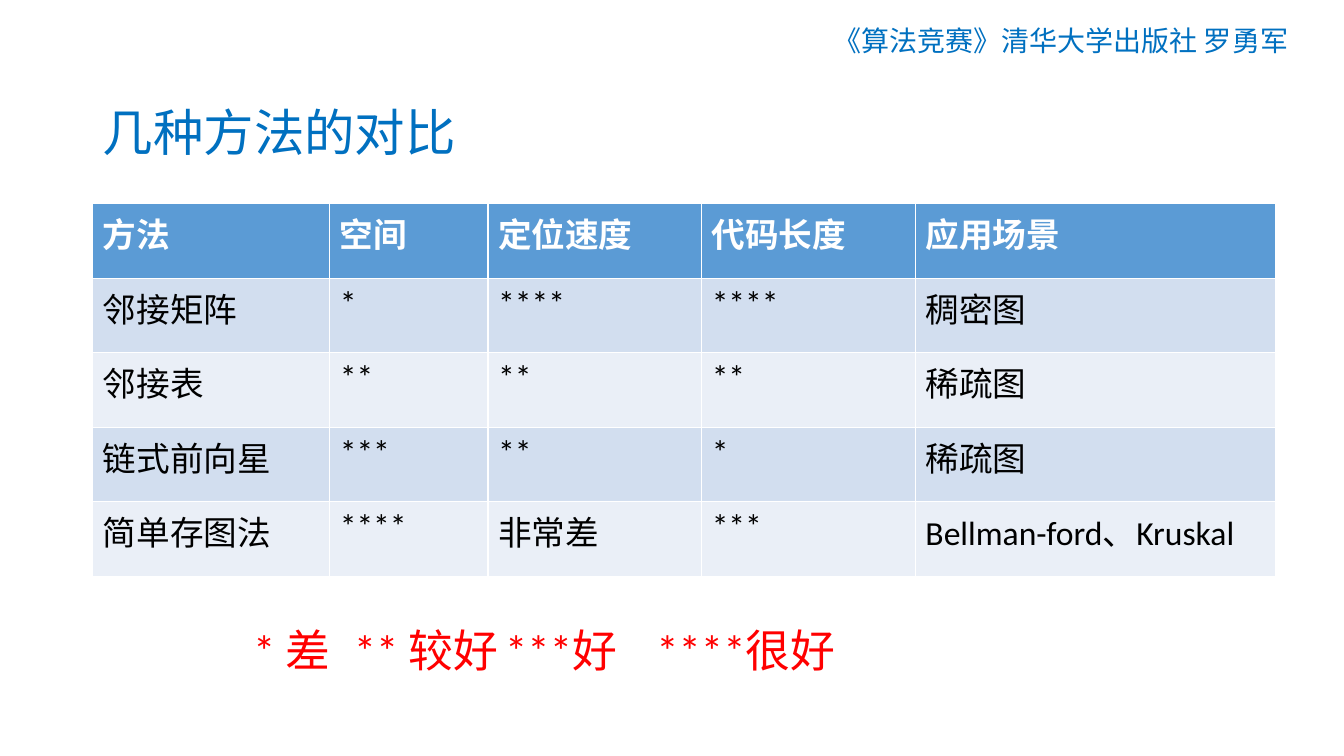
from lxml import etree
from pptx import Presentation
from pptx import util as u
from pptx.dml.color import RGBColor
from pptx.enum import text
from pptx.oxml import ns

HUES = {
    "blue": "0070C0", "red": "FF0000", "white": "FFFFFF", "black": "000000",
    "head": "5B9BD5", "odd": "D2DEEF", "even": "EAEFF7",
}
ROWS = [
    ["方法", "空间", "定位速度", "代码长度", "应用场景"],
    ["邻接矩阵", "*", "****", "****", "稠密图"],
    ["邻接表", "**", "**", "**", "稀疏图"],
    ["链式前向星", "***", "**", "*", "稀疏图"],
    ["简单存图法", "****", "非常差", "***", "Bellman-ford、Kruskal"],
]
WIDTHS = [2.35, 1.57, 2.12, 2.12, 3.57]
HEIGHT = 0.74
GRADES = ["* 差", "** 较好", "***好", "****很好"]
STOPS = [1.98, 4.73, 6.86]


def hue(name):
    return RGBColor.from_string(HUES[name])


def style(para, size, color, bold=False):
    for run in para.runs:
        run.font.name = "Calibri"
        run.font.size = u.Pt(size)
        run.font.bold = bold
        run.font.color.rgb = hue(color)


def place(shape, left, top, width, height):
    shape.left, shape.top = u.Inches(left), u.Inches(top)
    shape.width, shape.height = u.Inches(width), u.Inches(height)


def write(shape, words, size, color, align, anchor):
    frame = shape.text_frame
    frame.text = words
    frame.word_wrap = True
    frame.auto_size = text.MSO_AUTO_SIZE.NONE
    frame.vertical_anchor = anchor
    para = frame.paragraphs[0]
    para.alignment = align
    style(para, size, color)
    return para


def add_title(slide):
    title = slide.shapes.title
    place(title, 0.92, 0.84, 5.12, 1.01)
    para = write(title, "几种方法的对比", 36, "blue",
                 text.PP_ALIGN.LEFT, text.MSO_ANCHOR.MIDDLE)
    para.line_spacing = 0.9


def add_credit(slide):
    box = slide.shapes.add_textbox(*map(u.Inches, (8.08, 0.14, 4.88, 0.52)))
    write(box, "《算法竞赛》清华大学出版社 罗勇军", 20, "blue",
          text.PP_ALIGN.CENTER, text.MSO_ANCHOR.MIDDLE)


def add_grid(slide):
    size = (0.92, 2.02, sum(WIDTHS), HEIGHT * len(ROWS))
    grid = slide.shapes.add_table(
        len(ROWS), len(WIDTHS), *map(u.Inches, size)).table
    for col, width in zip(grid.columns, WIDTHS):
        col.width = u.Inches(width)
    for i, row in enumerate(ROWS):
        grid.rows[i].height = u.Inches(HEIGHT)
        fill = "head" if i == 0 else "odd" if i % 2 else "even"
        for j, words in enumerate(row):
            cell = grid.cell(i, j)
            cell.fill.solid()
            cell.fill.fore_color.rgb = hue(fill)
            cell.text_frame.text = words
            para = cell.text_frame.paragraphs[0]
            para.space_after = u.Pt(6)
            style(para, 24, "black" if i else "white", i == 0)


def add_legend(slide):
    body = slide.placeholders[1]
    place(body, 2.41, 6.19, 9.53, 0.78)
    para = write(body, "\t".join(GRADES), 32, "red",
                 text.PP_ALIGN.LEFT, text.MSO_ANCHOR.TOP)
    props = para._p.get_or_add_pPr()
    props.set("marL", "0")
    props.set("indent", "0")
    etree.SubElement(props, ns.qn("a:buNone"))
    tabs = etree.SubElement(props, ns.qn("a:tabLst"))
    for stop in STOPS:
        etree.SubElement(tabs, ns.qn("a:tab"),
                         pos=str(u.Inches(stop)), algn="l")
    para.line_spacing = 0.9
    para.space_before = u.Pt(0)


def main():
    deck = Presentation()
    deck.slide_width, deck.slide_height = u.Inches(13.33), u.Inches(7.5)
    slide = deck.slides.add_slide(deck.slide_layouts[1])
    add_title(slide)
    add_credit(slide)
    add_grid(slide)
    add_legend(slide)
    deck.save("out.pptx")


if __name__ == "__main__":
    main()
